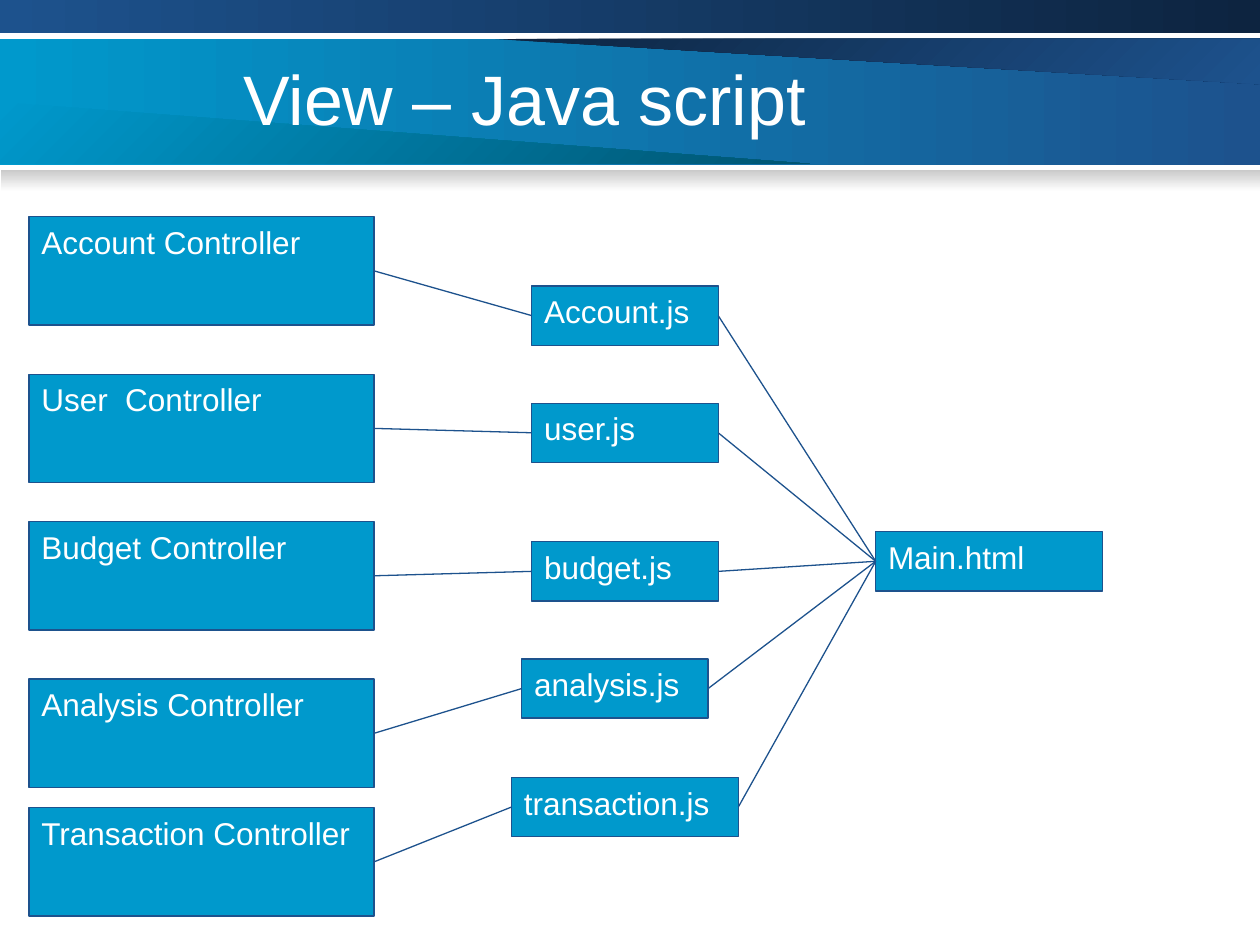
from typing import NamedTuple

from lxml import etree
from pptx import Presentation
from pptx import util as u
from pptx.dml.color import RGBColor
from pptx.enum import shapes, text
from pptx.oxml.ns import qn

FONT = "Arial"
WHITE, CYAN, NAVY = "FFFFFF", "0099CC", "1D528D"
DARK_NAVY, DARK_TEAL, GREY = "0D2440", "005572", "CACACA"
LEFT_SITE, RIGHT_SITE = 1, 3


class Box(NamedTuple):
    label: str
    left: float
    top: float
    width: float
    height: float = 0.47


class Gradient(NamedTuple):
    start: str
    end: str
    angle: float = 0  # counter-clockwise


class Band(NamedTuple):
    left: float
    top: float
    width: float
    height: float
    gradient: Gradient


class Wedge(NamedTuple):
    points: list[tuple[float, float]]
    gradient: Gradient


BANDS = [
    Band(0, 0.31, 10, 1, Gradient(CYAN, NAVY)),
    Band(0, 0, 10, 0.26, Gradient(NAVY, DARK_NAVY)),
    Band(0.01, 1.35, 9.99, 0.17, Gradient(GREY, WHITE, 270)),
]
WEDGES = [
    Wedge([(3.93, 0.31), (10, 0.67), (10, 0.31)], Gradient(DARK_NAVY, NAVY, 315)),
    Wedge([(0, 0.81), (6.43, 1.3), (0, 1.3)], Gradient(CYAN, DARK_TEAL, 315)),
]

CONTROLLERS = [
    Box(f"{name} Controller", 0.23, top, 2.74, 0.86)
    for name, top in [("Account", 1.72), ("User ", 2.97), ("Budget", 4.14),
                      ("Analysis", 5.39), ("Transaction", 6.41)]
]
SCRIPTS = [
    Box("Account.js", 4.22, 2.27, 1.48),
    Box("user.js", 4.22, 3.2, 1.48),
    Box("budget.js", 4.22, 4.3, 1.48),
    Box("analysis.js", 4.14, 5.23, 1.48),
    Box("transaction.js", 4.06, 6.17, 1.8),
]
MAIN_PAGE = Box("Main.html", 6.95, 4.22, 1.8)


def rgb(color: str) -> RGBColor:
    return RGBColor.from_string(color)


def paint_gradient(shape, gradient: Gradient) -> None:
    shape.shadow.inherit = False
    shape.line.fill.background()
    shape.fill.gradient()
    shape.fill.gradient_angle = gradient.angle
    stops = shape.fill.gradient_stops
    for stop, color, position in zip(stops, gradient[:2], (0, 1)):
        stop.color.rgb = rgb(color)
        stop.position = position


def add_rectangle(slide, left: float, top: float, width: float, height: float):
    return slide.shapes.add_shape(
        shapes.MSO_SHAPE.RECTANGLE,
        *(u.Inches(length) for length in (left, top, width, height)))


def add_band(slide, band: Band) -> None:
    paint_gradient(add_rectangle(slide, *band[:4]), band.gradient)


def add_wedge(slide, wedge: Wedge) -> None:
    start, *rest = [(u.Inches(x), u.Inches(y)) for x, y in wedge.points]
    builder = slide.shapes.build_freeform(*start)
    builder.add_line_segments(rest, close=True)
    paint_gradient(builder.convert_to_shape(), wedge.gradient)


def format_text(frame, size: float, anchor) -> None:
    frame.word_wrap = True
    frame.vertical_anchor = anchor
    paragraph = frame.paragraphs[0]
    paragraph.alignment = text.PP_ALIGN.LEFT
    paragraph.font.name = FONT
    paragraph.font.size = u.Pt(size)
    paragraph.font.color.rgb = rgb(WHITE)


def add_title(slide, wording: str) -> None:
    title = slide.shapes.title
    title.left, title.top = u.Inches(1.83), u.Inches(0.3)
    title.width, title.height = u.Inches(7.25), u.Inches(0.95)
    title.text_frame.text = wording
    format_text(title.text_frame, 40, text.MSO_ANCHOR.MIDDLE)
    title.element.getparent().append(title.element)  # in front of the banner


def add_box(slide, box: Box):
    shape = add_rectangle(slide, *box[1:])
    shape.shadow.inherit = False
    shape.fill.solid()
    shape.fill.fore_color.rgb = rgb(CYAN)
    shape.line.color.rgb = rgb(NAVY)
    shape.line.width = u.Pt(0.75)
    shape.text_frame.text = box.label
    format_text(shape.text_frame, 18, text.MSO_ANCHOR.TOP)
    return shape


def link(slide, source, target) -> None:
    """Join the right side of source to the left side of target."""
    line = slide.shapes.add_connector(shapes.MSO_CONNECTOR.STRAIGHT, 0, 0, 0, 0)
    line.begin_connect(source, RIGHT_SITE)
    line.end_connect(target, LEFT_SITE)
    line.line.color.rgb = rgb(NAVY)
    line.line.width = u.Pt(0.75)
    etree.SubElement(line.element.spPr, qn("a:effectLst"))


def main() -> None:
    deck = Presentation()
    deck.slide_width, deck.slide_height = u.Inches(10), u.Inches(7.5)
    slide = deck.slides.add_slide(deck.slide_layouts.get_by_name("Title Only"))

    for band in BANDS:
        add_band(slide, band)
    for wedge in WEDGES:
        add_wedge(slide, wedge)
    add_title(slide, "View – Java script")

    controllers = [add_box(slide, box) for box in CONTROLLERS]
    scripts = [add_box(slide, box) for box in SCRIPTS]
    main_page = add_box(slide, MAIN_PAGE)
    for controller, script in zip(controllers, scripts):
        link(slide, controller, script)
        link(slide, script, main_page)

    deck.save("out.pptx")


if __name__ == "__main__":
    main()
